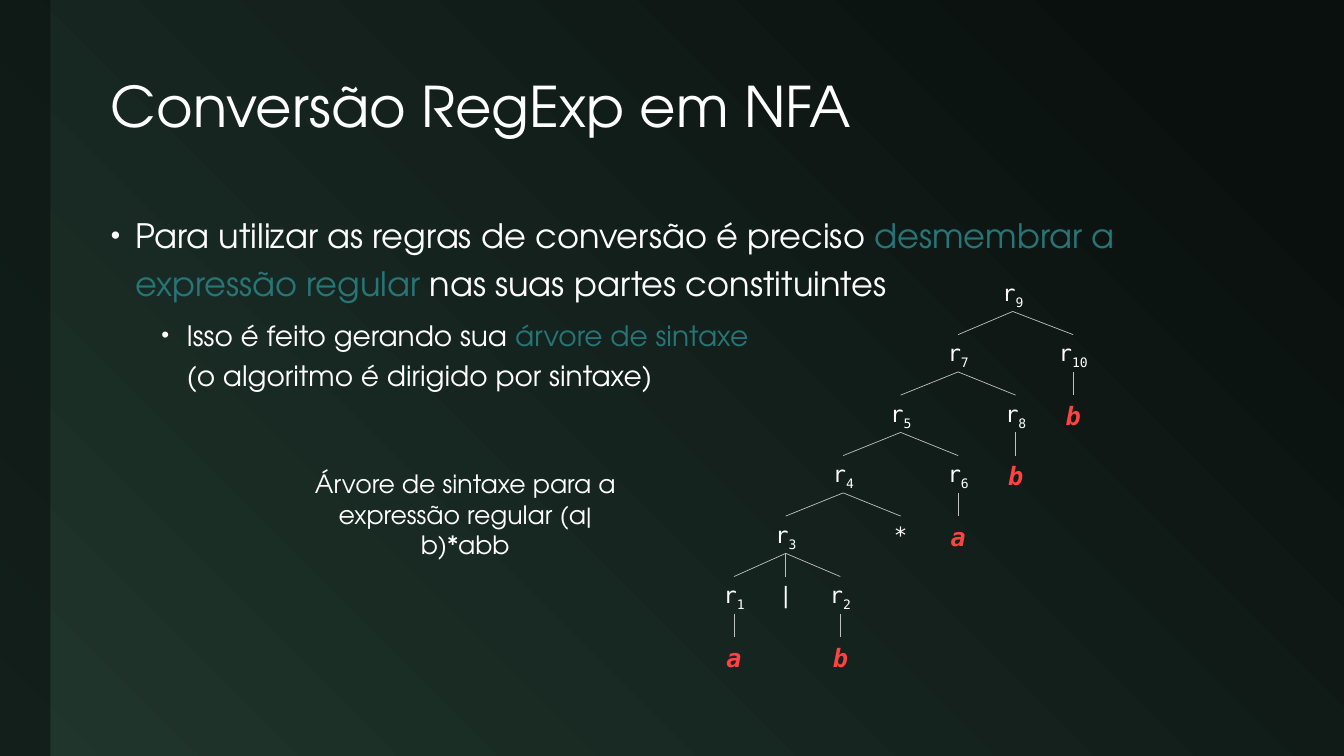
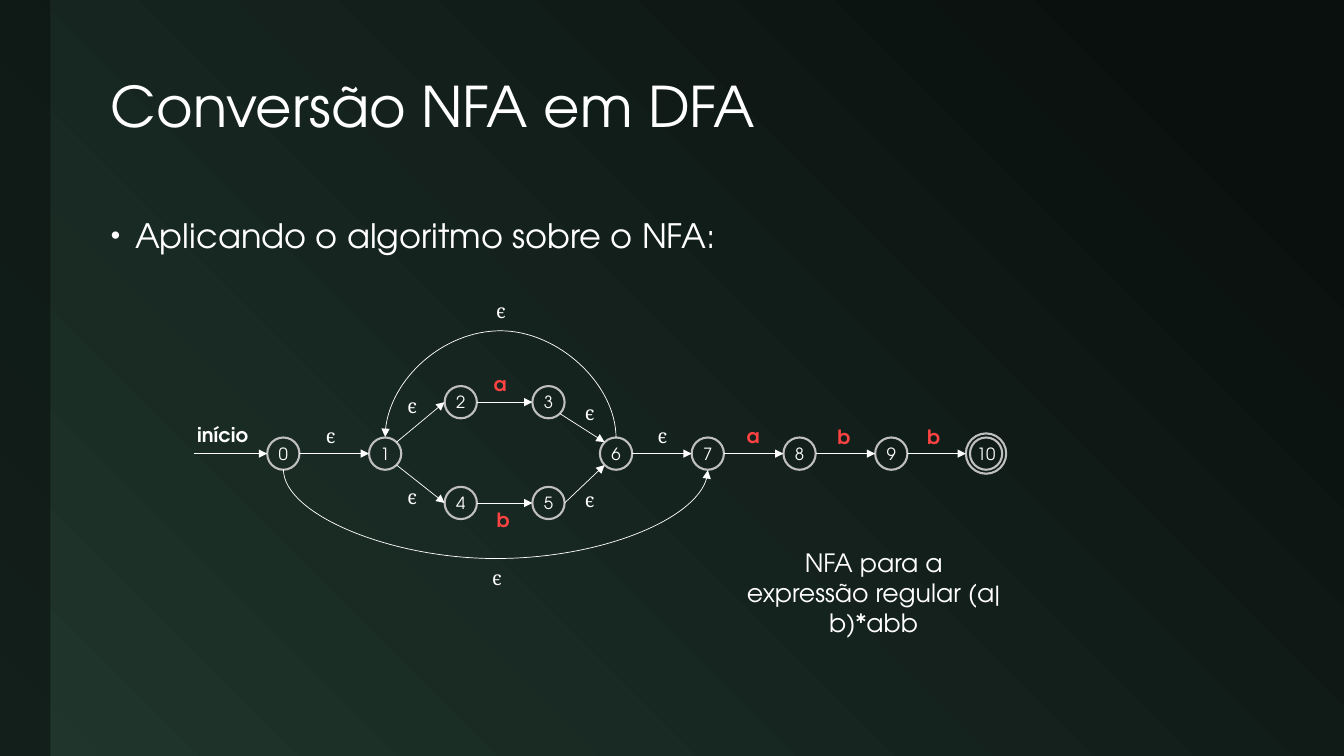
from lxml import etree
from pptx import Presentation
from pptx.dml.color import RGBColor
from pptx.enum.shapes import MSO_CONNECTOR, MSO_SHAPE
from pptx.enum.text import MSO_ANCHOR, MSO_AUTO_SIZE, PP_ALIGN
from pptx.oxml.ns import qn
from pptx.util import Inches, Pt

STRAIGHT, CURVE = MSO_CONNECTOR.STRAIGHT, MSO_CONNECTOR.CURVE
RECTANGLE, OVAL = MSO_SHAPE.RECTANGLE, MSO_SHAPE.OVAL
MIDDLE, NO_FIT = MSO_ANCHOR.MIDDLE, MSO_AUTO_SIZE.NONE
LEFT_ALIGN, CENTER = PP_ALIGN.LEFT, PP_ALIGN.CENTER

COLORS = {"dark": "0A100E", "green": "20362D", "white": "FFFFFF",
          "teal": "267577", "gray": "BFBFBF", "red": "FF4343"}
SANS, MONO, SERIF = "TeX Gyre Adventor", "DejaVu Sans Mono", "Cambria"
TITLE_BOX = (1, 0.42, 11.65, 1.33)
BODY_BOX = (1, 2, 11.65, 4.83)
BODY_LEVELS = [(24, 0.24, 0.24, 18), (20, 0.75, 0.25, 6)]

LEFT, RIGHT = (-1, 0), (1, 0)
TOP_LEFT, TOP_RIGHT = (-0.71, -0.71), (0.71, -0.71)
BOTTOM_LEFT, BOTTOM_RIGHT = (-0.71, 0.71), (0.71, 0.71)
RADIUS, FINAL_RADIUS = 0.16, 0.2

TREE_NODES = {
    "r9": ("r", "9", 4.85, 0, None), "r7": ("r", "7", 3.9, 1, "r9"),
    "r10": ("r", "10", 5.9, 1, "r9"), "r5": ("r", "5", 2.9, 2, "r7"),
    "r8": ("r", "8", 4.9, 2, "r7"), "leaf10": ("b", "", 5.9, 2, "r10"),
    "r4": ("r", "4", 1.9, 3, "r5"), "r6": ("r", "6", 3.9, 3, "r5"),
    "leaf8": ("b", "", 4.9, 3, "r8"), "r3": ("r", "3", 0.9, 4, "r4"),
    "star": ("*", "", 2.9, 4, "r4"), "leaf6": ("a", "", 3.9, 4, "r6"),
    "r1": ("r", "1", 0, 5, "r3"), "bar": ("|", "", 0.9, 5, "r3"),
    "r2": ("r", "2", 1.85, 5, "r3"), "leaf1": ("a", "", 0, 6, "r1"),
    "leaf2": ("b", "", 1.85, 6, "r2"),
}

STATES = [(0.91, 1.6), (1.92, 1.6), (2.67, 1.09), (3.54, 1.09), (2.67, 2.09),
          (3.54, 2.09), (4.21, 1.6), (5.12, 1.6), (6.03, 1.6), (6.94, 1.6), (7.88, 1.6)]
FINAL_STATE = len(STATES) - 1
TRANSITIONS = [
    (0, RIGHT, 1, LEFT, "ϵ", 1.38, 1.43),
    (1, TOP_RIGHT, 2, LEFT, "ϵ", 2.19, 1.13),
    (1, BOTTOM_RIGHT, 4, LEFT, "ϵ", 2.19, 2.03),
    (2, RIGHT, 3, LEFT, "a", 3.06, 0.91),
    (4, RIGHT, 5, LEFT, "b", 3.09, 2.26),
    (3, BOTTOM_RIGHT, 6, TOP_LEFT, "ϵ", 3.95, 1.2),
    (5, RIGHT, 6, BOTTOM_LEFT, "ϵ", 3.95, 2.06),
    (6, RIGHT, 7, LEFT, "ϵ", 4.67, 1.43),
    (7, RIGHT, 8, LEFT, "a", 5.57, 1.43),
    (8, RIGHT, 9, LEFT, "b", 6.47, 1.44),
    (9, RIGHT, 10, LEFT, "b", 7.36, 1.44),
]
ARCS = [(0, 7, 1, 0.9, 3.03, 2.84), (6, 1, -1, 1.08, 3.07, 0.19)]


def rgb(name):
    return RGBColor.from_string(COLORS[name])


def add_span(para, text, size, color="white", font=SANS, bold=False, italic=False):
    span = para.add_run()
    span.text = text
    span.font.name, span.font.size = font, Pt(size)
    span.font.bold, span.font.italic = bold, italic
    span.font.color.rgb = rgb(color)
    return span


def add_text(shapes, left, top, width, height, wrap=True):
    box = shapes.add_textbox(Inches(left), Inches(top), Inches(width), Inches(height))
    box.text_frame.word_wrap = wrap
    box.text_frame.paragraphs[0].alignment = CENTER
    return box


def add_caption(page, lines, left, top, width):
    frame = add_text(page.shapes, left, top, width, 1.01).text_frame
    for index, line in enumerate(lines):
        para = frame.add_paragraph() if index else frame.paragraphs[0]
        para.alignment = CENTER
        add_span(para, line, 18)


def add_line(shapes, start, end, color, arrow=False, kind=STRAIGHT):
    line = shapes.add_connector(kind, *(Inches(value) for value in (*start, *end)))
    line.line.color.rgb = rgb(color)
    line.line.width = Pt(0.5)
    properties = line.element.xpath("./p:spPr")[0]
    if arrow:
        etree.SubElement(properties.find(qn("a:ln")), qn("a:tailEnd"), type="triangle")
    etree.SubElement(properties, qn("a:effectLst"))
    return line


def add_arc(shapes, start, end, side, depth):
    span, thin = abs(end[0] - start[0]), 0.01
    x, y = (start[0] + end[0]) / 2, start[1]
    arc = add_line(shapes, (x + side * thin / 2, y - side * span / 2),
                   (x - side * thin / 2, y + side * span / 2), "white", True, CURVE)
    arc.element.xpath("./p:spPr/a:xfrm")[0].set("rot", "16200000")
    adjustments = arc.element.xpath("./p:spPr/a:prstGeom/a:avLst")[0]
    etree.SubElement(adjustments, qn("a:gd"), name="adj1",
                     fmla=f"val {round(depth / thin * 100000)}")


def place(shape, box):
    shape.left, shape.top, shape.width, shape.height = (Inches(value) for value in box)


def set_up_template(deck, layout):
    master = deck.slide_master
    fill = master.background.fill
    fill.gradient()
    fill.gradient_angle = 225
    for stop, color, position in zip(fill.gradient_stops, ("dark", "green"), (0.1, 1)):
        stop.color.rgb = rgb(color)
        stop.position = position
    for owner in (master, layout):
        title, body = list(owner.placeholders)[:2]
        place(title, TITLE_BOX)
        place(body, BODY_BOX)


def add_master_band(deck, page):
    band = page.shapes.add_shape(RECTANGLE, 0, 0, Inches(0.5), deck.slide_height)
    band.shadow.inherit = False
    band.fill.solid()
    band.fill.fore_color.rgb = rgb("dark")
    color = band.element.xpath("./p:spPr/a:solidFill/a:srgbClr")[0]
    etree.SubElement(color, qn("a:alpha"), val="60000")
    band.line.fill.background()
    band.element.xpath("./p:nvSpPr/p:cNvPr")[0].set("id", "100")
    deck.slide_master.shapes.element.insert(2, band.element)


def add_bullet(para, indent, hanging):
    properties = para._p.get_or_add_pPr()
    properties.set("marL", str(Inches(indent)))
    properties.set("indent", str(-Inches(hanging)))
    etree.SubElement(properties, qn("a:buSzPct"), val="80000")
    etree.SubElement(properties, qn("a:buFont"), typeface="Arial")
    etree.SubElement(properties, qn("a:buChar"), char="•")


def add_page(deck, layout, title, items):
    page = deck.slides.add_slide(layout)
    frame = page.shapes.title.text_frame
    frame.vertical_anchor, frame.auto_size = MIDDLE, NO_FIT
    para = frame.paragraphs[0]
    para.alignment, para.line_spacing = LEFT_ALIGN, 0.9
    add_span(para, title, 40)

    frame = page.placeholders[1].text_frame
    frame.auto_size = NO_FIT
    for index, (level, lines) in enumerate(items):
        size, indent, hanging, space = BODY_LEVELS[level]
        para = frame.add_paragraph() if index else frame.paragraphs[0]
        para.level = level
        add_bullet(para, indent, hanging)
        para.line_spacing = 1.2
        para.space_before = Pt(space if index else 0)
        for number, spans in enumerate(lines):
            if number:
                para.add_line_break()
            for text, color in spans:
                add_span(para, text, size, color)
    return page


def add_syntax_tree(page, left, top):
    shapes = page.shapes.add_group_shape().shapes
    column, row, width, height = 0.57, 0.6, 0.52, 0.37
    boxes = {}
    for key, (symbol, index, x, y, parent) in TREE_NODES.items():
        box = add_text(shapes, left + x * column, top + y * row, width, height)
        para = box.text_frame.paragraphs[0]
        if symbol in "ab":
            add_span(para, symbol, 18, "red", MONO, True, True)
        else:
            add_span(para, symbol, 16, font=MONO)
        if index:
            subscript = add_span(para, index, 16, font=MONO)
            subscript.font._element.set("baseline", "-25000")
        boxes[key] = box
        if parent:
            start_x, start_y = TREE_NODES[parent][2:4]
            line = add_line(
                shapes,
                (left + start_x * column + width / 2, top + start_y * row + height),
                (left + x * column + width / 2, top + y * row), "gray")
            line.begin_connect(boxes[parent], 2)
            line.end_connect(box, 0)


def add_circle(shapes, center, radius):
    circle = shapes.add_shape(OVAL, Inches(center[0] - radius), Inches(center[1] - radius),
                              Inches(2 * radius), Inches(2 * radius))
    circle.shadow.inherit = False
    circle.fill.background()
    circle.line.color.rgb = rgb("gray")
    circle.line.width = Pt(1.5)
    return circle


def add_state(shapes, number, center):
    if number == FINAL_STATE:
        add_circle(shapes, center, FINAL_RADIUS)
    frame = add_circle(shapes, center, RADIUS).text_frame
    frame.margin_left = frame.margin_right = frame.margin_top = frame.margin_bottom = 0
    frame.vertical_anchor = MIDDLE
    frame.word_wrap = False
    frame.paragraphs[0].alignment = CENTER
    add_span(frame.paragraphs[0], str(number), 12)


def add_automaton(page, left, top):
    shapes = page.shapes.add_group_shape().shapes

    def site(number, direction):
        radius = FINAL_RADIUS if number == FINAL_STATE else RADIUS
        x, y = STATES[number]
        return left + x + direction[0] * radius, top + y + direction[1] * radius

    def add_label(text, x, y, color="red", width=0.34):
        height = 0.34
        box = add_text(shapes, left + x - width / 2, top + y - height / 2, width, height, False)
        para = box.text_frame.paragraphs[0]
        if text == "ϵ":
            add_span(para, text, 14, font=SERIF)
        else:
            add_span(para, text, 14, color, bold=True)

    for number, (x, y) in enumerate(STATES):
        add_state(shapes, number, (left + x, top + y))
    start = site(0, LEFT)
    add_line(shapes, (left + 0.02, start[1]), start, "white", True)
    add_label("início", 0.31, 1.42, "white", 0.8)
    for source, leaving, target, entering, text, x, y in TRANSITIONS:
        add_line(shapes, site(source, leaving), site(target, entering), "white", True)
        add_label(text, x, y)
    for source, target, side, depth, x, y in ARCS:
        direction = (0, side)
        add_arc(shapes, site(source, direction), site(target, direction), side, depth)
        add_label("ϵ", x, y)


def main():
    deck = Presentation()
    deck.slide_width, deck.slide_height = Inches(13.33), Inches(7.5)
    layout = deck.slide_layouts[1]
    set_up_template(deck, layout)

    page = add_page(deck, layout, "Conversão RegExp em NFA", [
        (0, [[("Para utilizar as regras de conversão é preciso ", "white"),
              ("desmembrar a expressão regular", "teal"),
              (" nas suas partes constituintes", "white")]]),
        (1, [[("Isso é feito gerando sua ", "white"), ("árvore de sintaxe", "teal")],
             [("(o algoritmo é dirigido por sintaxe)", "white")]]),
    ])
    add_master_band(deck, page)
    add_caption(page, ["Árvore de sintaxe para a", "expressão regular (a|b)*abb"], 3, 4.6, 3.23)
    add_syntax_tree(page, 7.02, 2.72)

    page = add_page(deck, layout, "Conversão NFA em DFA", [
        (0, [[("Aplicando o algoritmo sobre o NFA:", "white")]]),
    ])
    add_automaton(page, 1.9, 2.9)
    add_caption(page, ["NFA para a expressão regular (a|b)*abb"], 7.26, 5.38, 2.81)
    deck.save("out.pptx")


if __name__ == "__main__":
    main()
